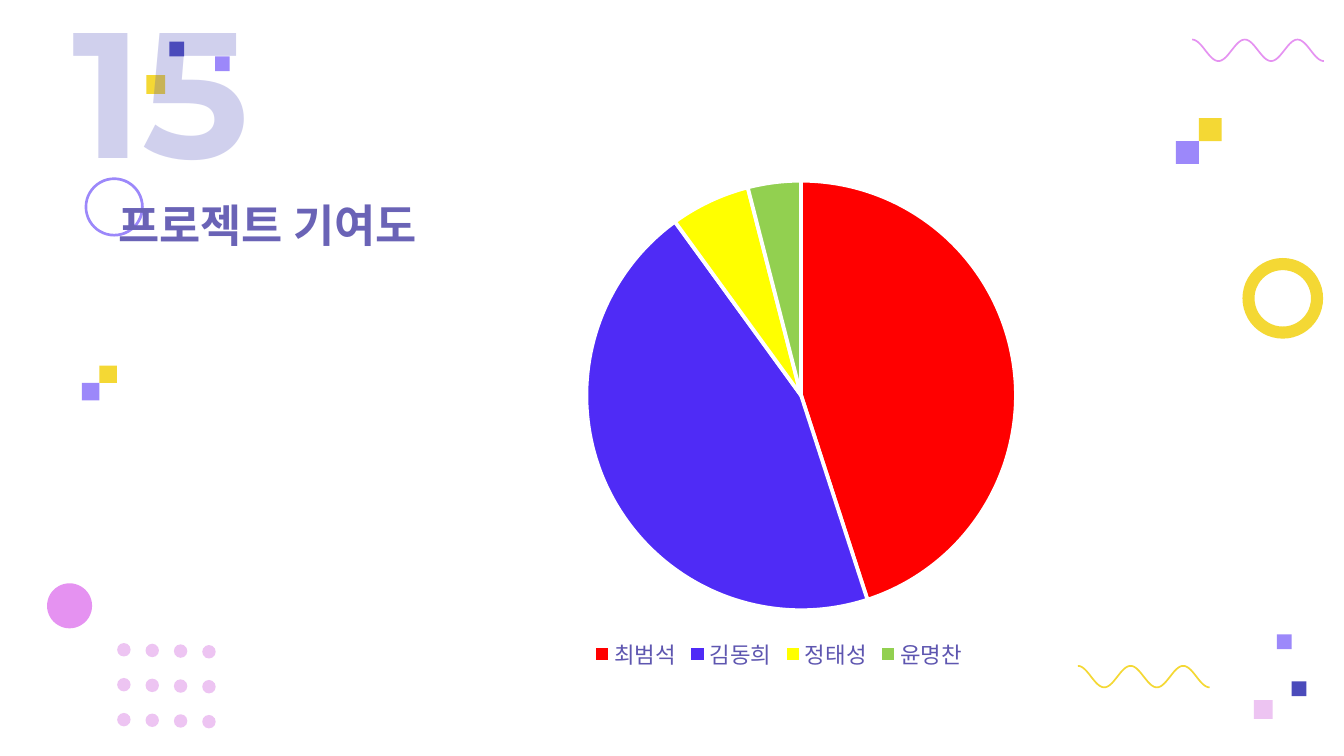
from dataclasses import dataclass
from itertools import product
from math import cos, pi

from lxml import etree
from pptx import Presentation
from pptx.chart.data import CategoryChartData
from pptx.dml.color import RGBColor
from pptx.enum.chart import XL_CHART_TYPE, XL_LEGEND_POSITION
from pptx.enum.shapes import MSO_SHAPE
from pptx.enum.text import MSO_ANCHOR, PP_ALIGN
from pptx.oxml.ns import qn
from pptx.util import Inches, Pt

PIE = XL_CHART_TYPE.PIE
BOTTOM = XL_LEGEND_POSITION.BOTTOM
SQUARE, CIRCLE, DONUT = MSO_SHAPE.RECTANGLE, MSO_SHAPE.OVAL, MSO_SHAPE.DONUT
MIDDLE = MSO_ANCHOR.MIDDLE
CENTER, RIGHT = PP_ALIGN.CENTER, PP_ALIGN.RIGHT

CELL = Inches(0.1)
COLUMNS, ROWS = 100, 56.25


@dataclass(frozen=True)
class Theme:
    """Colours, fonts and type sizes of the slide."""

    yellow: str = "F4D834"
    violet: str = "9C88FA"
    indigo: str = "4B4BBB"
    pink: str = "E592F1"
    pale_pink: str = "EDC4F2"
    white: str = "FFFFFF"
    title: str = "6A63B6"
    legend: str = "5E56B0"
    chart_text: str = "2D2958"
    slices: tuple = ("FF0000", "4F2BF6", "FFFF00", "92D050")
    body_font: str = "Arial"
    number_font: str = "Montserrat"
    number_size: int = 96
    title_size: int = 24
    legend_size: int = 12
    chart_size: int = 10
    wave_width: float = 0.9
    slice_gap: float = 2


def grid(*cells):
    """Turn grid cells into slide lengths."""
    return [round(cell * CELL) for cell in cells]


class SlideBuilder:
    """Draws styled elements on the current slide."""

    def __init__(self, slide, theme):
        """Keep the slide and its theme."""
        self.slide = slide
        self.theme = theme

    def ornament(self, kind, left, top, size, color, thickness=None):
        """Add a flat square, circle or ring."""
        shape = self.slide.shapes.add_shape(kind, *grid(left, top, size, size))
        shape.shadow.inherit = False
        shape.fill.solid()
        shape.fill.fore_color.rgb = RGBColor.from_string(color)
        shape.line.fill.background()
        if thickness:
            shape.adjustments[0] = thickness / size

    def wave(self, left, top, color, width=9.8, height=1.6, turns=2.5, steps=100):
        """Add a thin cosine wave."""
        points = [
            grid(left + width * i / steps,
                 top + height * (1 - cos(2 * pi * turns * i / steps)) / 2)
            for i in range(steps + 1)
        ]
        builder = self.slide.shapes.build_freeform(*points[0])
        builder.add_line_segments(points[1:], close=False)
        curve = builder.convert_to_shape()
        curve.shadow.inherit = False
        curve.fill.background()
        curve.line.color.rgb = RGBColor.from_string(color)
        curve.line.width = Pt(self.theme.wave_width)

    def text(self, words, box, size, font, color, align, opacity=None):
        """Add one bold line of text, centred vertically in its box."""
        frame = self.slide.shapes.add_textbox(*grid(*box)).text_frame
        frame.word_wrap = True
        frame.vertical_anchor = MIDDLE
        frame.margin_left = frame.margin_right = CELL
        frame.margin_top = frame.margin_bottom = CELL
        paragraph = frame.paragraphs[0]
        paragraph.alignment = align
        run = paragraph.add_run()
        run.text = words
        run.font.size = Pt(size)
        run.font.name = font
        run.font.bold = True
        run.font.color.rgb = RGBColor.from_string(color)
        if opacity:
            tint = run.font.fill._xPr.find(".//" + qn("a:srgbClr"))
            etree.SubElement(tint, qn("a:alpha"), val=str(opacity * 1000))

    def style_font(self, font, size, color):
        """Apply the body font to a chart part."""
        font.name = self.theme.body_font
        font.size = Pt(size)
        font.color.rgb = RGBColor.from_string(color)

    def pie(self, shares, box, plot_area):
        """Add a pie chart with a legend below it."""
        theme = self.theme
        data = CategoryChartData()
        data.categories = list(shares)
        data.add_series("Series 1", list(shares.values()))
        chart = self.slide.shapes.add_chart(PIE, *grid(*box), data).chart
        chart.has_title = False
        self.style_font(chart.font, theme.chart_size, theme.chart_text)
        chart.has_legend = True
        chart.legend.position = BOTTOM
        chart.legend.include_in_layout = False
        self.style_font(chart.legend.font, theme.legend_size, theme.legend)
        plot = chart.plots[0]
        plot.vary_by_categories = True
        for index, color in enumerate(theme.slices):
            style = plot.series[0].points[index].format
            style.fill.solid()
            style.fill.fore_color.rgb = RGBColor.from_string(color)
            style.line.color.rgb = RGBColor.from_string(theme.white)
            style.line.width = Pt(theme.slice_gap)
        self.place_plot(chart, plot_area)

    def place_plot(self, chart, area):
        """Fix the inner plot area as shares of the chart."""
        plot_area = chart._chartSpace.find(".//" + qn("c:plotArea"))
        for old in plot_area.findall(qn("c:layout")):
            plot_area.remove(old)
        layout = etree.Element(qn("c:layout"))
        manual = etree.SubElement(layout, qn("c:manualLayout"))
        settings = [("layoutTarget", "inner"), ("xMode", "edge"), ("yMode", "edge")]
        settings += zip("xywh", area)
        for tag, value in settings:
            etree.SubElement(manual, qn("c:" + tag), val=str(value))
        plot_area.insert(0, layout)


def main():
    """Build and save the contribution slide."""
    theme = Theme()
    deck = Presentation()
    deck.slide_width, deck.slide_height = grid(COLUMNS, ROWS)
    builder = SlideBuilder(deck.slides.add_slide(deck.slide_layouts[6]), theme)

    for column, row in product(range(4), range(3)):
        builder.ornament(CIRCLE, 8.72 + 2.11 * column, 47.85 + 0.05 * column + 2.6 * row,
                         1, theme.pale_pink)
    builder.ornament(CIRCLE, 3.5, 43.4, 3.35, theme.pink)
    builder.ornament(DONUT, 92.45, 19.2, 6, theme.yellow, thickness=0.9)
    builder.ornament(DONUT, 6.3, 13.2, 4.4, theme.violet, thickness=0.2)

    squares = [
        (10.9, 5.6, 1.4, theme.yellow),
        (16, 4.2, 1.1, theme.violet),
        (12.6, 3.1, 1.1, theme.indigo),
        (89.2, 8.8, 1.7, theme.yellow),
        (87.5, 10.5, 1.7, theme.violet),
        (93.3, 52.1, 1.4, theme.pale_pink),
        (95, 47.2, 1.1, theme.violet),
        (96.1, 50.7, 1.1, theme.indigo),
        (7.4, 27.2, 1.3, theme.yellow),
        (6.1, 28.5, 1.3, theme.violet),
    ]
    for square in squares:
        builder.ornament(SQUARE, *square)
    builder.wave(80.2, 49.55, theme.yellow)
    builder.wave(88.7, 2.95, theme.pink)

    builder.text("프로젝트 기여도", (4.3, 8.5, 31.2, 16.4), theme.title_size,
                 theme.body_font, theme.title, CENTER)
    builder.text("15", (1.3, 2, 18.2, 9), theme.number_size,
                 theme.number_font, theme.indigo, RIGHT, opacity=25)
    contributions = {"최범석": 45, "김동희": 45, "정태성": 6, "윤명찬": 4}
    builder.pie(contributions, (24.6, 5.9, 66.7, 44.4), (0.05, 0.17, 0.95, 0.72))
    deck.save("out.pptx")


if __name__ == "__main__":
    main()
